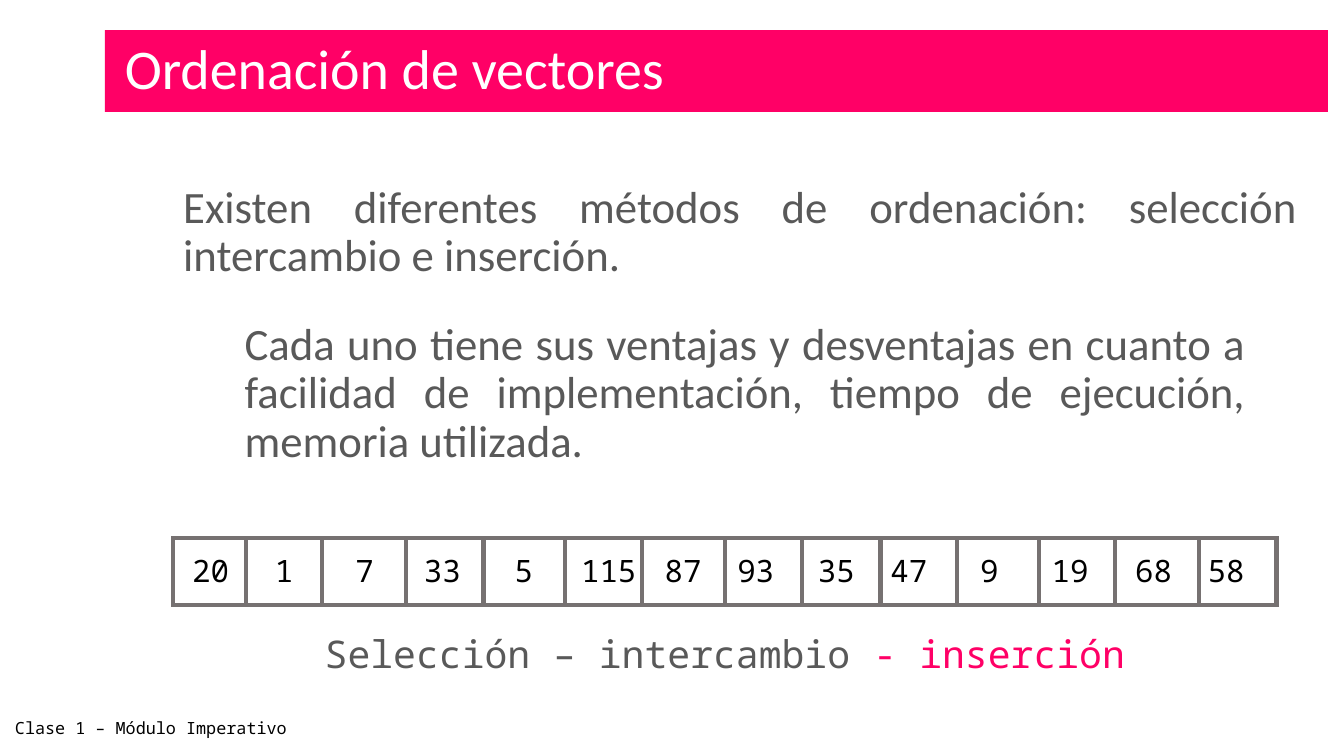
from lxml.etree import SubElement
from pptx import Presentation
from pptx.dml.color import RGBColor
from pptx.enum.shapes import MSO_CONNECTOR, MSO_SHAPE
from pptx.enum.text import MSO_AUTO_SIZE as AutoSize, PP_ALIGN as Align
from pptx.oxml.ns import qn
from pptx.util import Inches, Pt

SANS, MONO = "Calibri", "Noto Sans Mono"
PINK, GRAY, BORDER, BLACK, WHITE = "FF0066", "595959", "767171", "000000", "FFFFFF"

VECTOR_LEFT, VECTOR_TOP, VECTOR_WIDTH, VECTOR_HEIGHT = 1.72, 5.34, 10.95, 0.66
DIVIDERS = [2.44, 3.2, 4.03, 4.8, 5.61, 6.37, 7.2,
            7.96, 8.74, 9.5, 10.31, 11.07, 11.9, 12.67]
# Each number with the left edge of its label
NUMBERS = [(20, 1.81), (1, 2.63), (7, 3.43), (33, 4.11), (5, 5.01),
           (115, 5.67), (87, 6.5), (93, 7.22), (35, 8.02), (47, 8.74),
           (9, 9.63), (19, 10.34), (68, 11.17), (58, 11.89)]
LABEL_WIDTHS = {1: 0.38, 2: 0.57, 3: 0.76}


def color(value):
    return RGBColor.from_string(value)


def set_line(line, value):
    """Draw a 3 pt line with sharp corners."""
    line.color.rgb = color(value)
    line.width = Pt(3)
    SubElement(line._get_or_add_ln(), qn("a:miter"), lim="800000")


def add_rectangle(slide, left, top, width, height, fill=None, line=None):
    shape = slide.shapes.add_shape(MSO_SHAPE.RECTANGLE, Inches(left), Inches(top),
                                   Inches(width), Inches(height))
    shape.shadow.inherit = False
    if fill:
        shape.fill.solid()
        shape.fill.fore_color.rgb = color(fill)
    else:
        shape.fill.background()
    if line:
        set_line(shape.line, line)
    else:
        shape.line.fill.background()


def add_divider(slide, x, top, height):
    connector = slide.shapes.add_connector(MSO_CONNECTOR.STRAIGHT, Inches(x), Inches(top),
                                           Inches(x), Inches(top + height))
    set_line(connector.line, BORDER)
    SubElement(connector._element.spPr, qn("a:effectLst"))


def add_text(slide, runs, left, top, width, height, *, size, font=SANS,
             align=Align.LEFT, wrap=False, spacing=None, before=None):
    """Add one paragraph; runs is a list of (text, colour) pairs."""
    box = slide.shapes.add_textbox(Inches(left), Inches(top), Inches(width), Inches(height))
    box.text_frame.word_wrap = wrap
    box.text_frame.auto_size = AutoSize.NONE if wrap else AutoSize.SHAPE_TO_FIT_TEXT
    paragraph = box.text_frame.paragraphs[0]
    paragraph.alignment = align
    if spacing:
        paragraph.line_spacing = spacing
    if before:
        paragraph.space_before = Pt(before)
    for text, run_color in runs:
        run = paragraph.add_run()
        run.text = text
        run.font.name = font
        run.font.size = Pt(size)
        run.font.color.rgb = color(run_color)


def add_body(slide, text, *position):
    add_text(slide, [(text, GRAY)], *position, size=32, align=Align.JUSTIFY,
             wrap=True, spacing=0.9, before=7.5)


def add_vector(slide):
    add_rectangle(slide, VECTOR_LEFT, VECTOR_TOP, VECTOR_WIDTH, VECTOR_HEIGHT, line=BORDER)
    for x in DIVIDERS:
        add_divider(slide, x, VECTOR_TOP, VECTOR_HEIGHT)
    for number, left in NUMBERS:
        label = str(number)
        add_text(slide, [(label, BLACK)], left, 5.42, LABEL_WIDTHS[len(label)], 0.47,
                 size=22, font=MONO)


def main():
    presentation = Presentation()
    presentation.slide_width = Inches(13.34)
    presentation.slide_height = Inches(7.5)
    slide = presentation.slides.add_slide(presentation.slide_layouts[6])

    add_rectangle(slide, 1.04, 0.3, 12.14, 0.81, fill=PINK)
    add_text(slide, [("Ordenación de vectores", WHITE)], 1.14, 0.28, 5.58, 0.77, size=40)
    add_text(slide, [("Clase 1 – Módulo Imperativo", BLACK)], 0.05, 7.07, 2.91, 0.3,
             size=12, font=MONO)
    add_body(slide, "Existen diferentes métodos de ordenación: selección "
                    "intercambio e inserción.", 1.72, 1.78, 11.26, 1.18)
    add_vector(slide)
    add_text(slide, [("Selección – intercambio ", GRAY), ("- inserción", PINK)],
             2.74, 6.29, 8.91, 0.66, size=27.2, font=MONO, align=Align.CENTER,
             wrap=True, spacing=0.8, before=7.5)
    add_body(slide, "Cada uno tiene sus ventajas y desventajas en cuanto a facilidad de "
                    "implementación, tiempo de ejecución, memoria utilizada.",
             2.33, 3.14, 10.14, 1.79)

    presentation.save("out.pptx")


if __name__ == "__main__":
    main()
